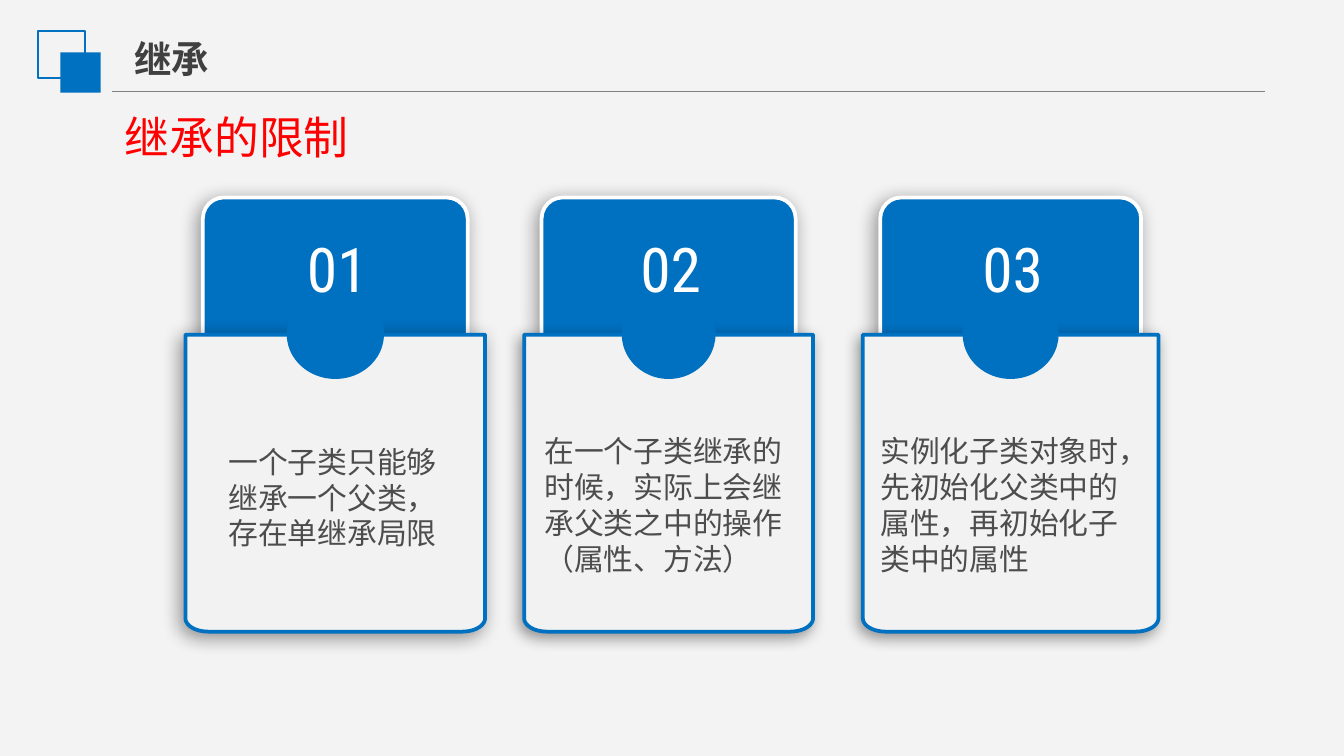
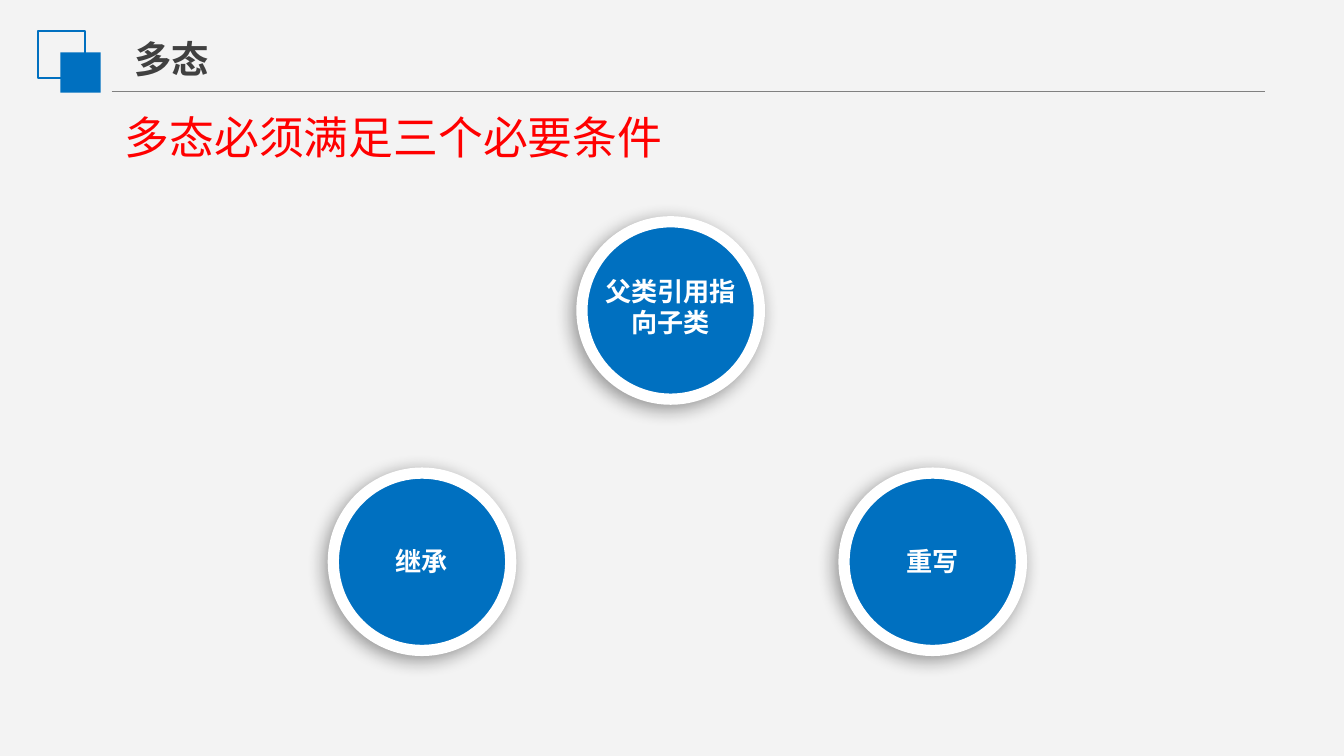
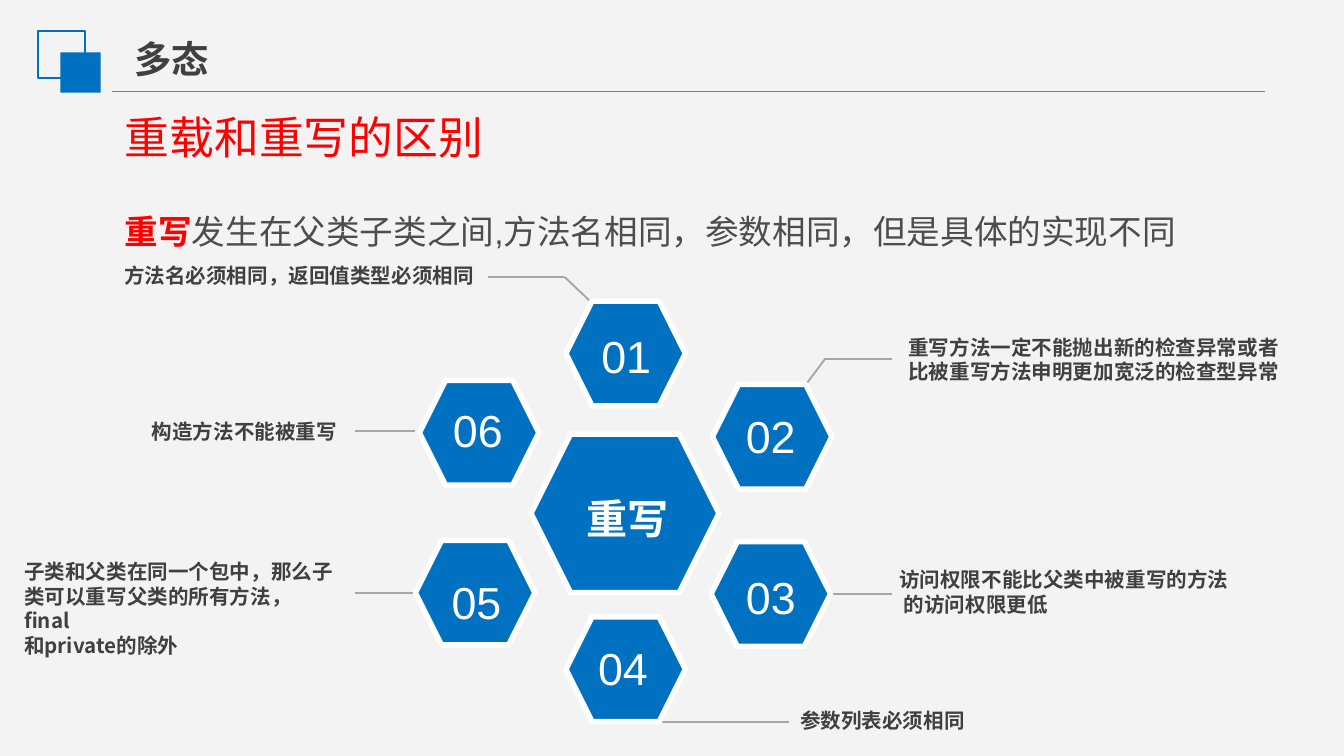
from dataclasses import dataclass
from itertools import pairwise
from math import cos, pi, sin

from lxml.etree import SubElement
from pptx import Presentation
from pptx.dml.color import RGBColor
from pptx.enum.shapes import MSO_CONNECTOR, MSO_SHAPE as Preset
from pptx.enum.text import MSO_AUTO_SIZE as AutoSize, PP_ALIGN as Align
from pptx.oxml.ns import qn
from pptx.util import Inches, Pt


# ---- Theme ----
@dataclass(frozen=True)
class Theme:
    paper: str = "F3F3F3"
    pocket: str = "F2F2F2"
    blue: str = "0070C0"
    white: str = "FFFFFF"
    red: str = "FF0000"
    dark: str = "404040"
    body: str = "4D4D4D"
    rule: str = "808080"
    leader: str = "A6A6A6"
    shadow: str = "000000"
    cjk: str = "Noto Sans CJK SC"
    heading_font: str = "Calibri"
    plain_font: str = "Arial"
    card_font: str = "Roboto Condensed"
    note_size: float = 11
    circle_size: float = 14
    body_size: float = 16
    statement_size: float = 18
    title_size: float = 20
    hub_size: float = 22
    heading_size: float = 24
    card_size: float = 33


THEME = Theme()
COLUMNS, ROWS = 100, 56.25      # a grid of square cells
CELL = Inches(0.1)


def cells(*counts):
    return [round(count * CELL) for count in counts]


def rgb(colour):
    return RGBColor.from_string(colour)


def write(frame, text, *, size, color, font=THEME.cjk, bold=False,
          align=Align.LEFT, spacing=None, lead=""):
    """Fill a frame, one paragraph per line; lead is a red bold opening."""
    for number, line in enumerate(text.split("\n")):
        paragraph = frame.add_paragraph() if number else frame.paragraphs[0]
        paragraph.alignment = align
        if spacing:
            paragraph.line_spacing = spacing
        runs = [(line, color, bold)]
        if lead and number == 0:
            runs.insert(0, (lead, THEME.red, True))
        for words, run_color, run_bold in runs:
            run = paragraph.add_run()
            run.text = words
            run.font.size, run.font.bold = Pt(size), run_bold
            run.font.name = font
            run.font.color.rgb = rgb(run_color)
            east_asian = SubElement(run.font._element, qn("a:ea"))
            east_asian.set("typeface", THEME.cjk)


class Deck:
    def __init__(self, theme):
        self.theme = theme
        self.file = Presentation()
        self.file.slide_width, self.file.slide_height = cells(COLUMNS, ROWS)
        backdrop = self.file.slide_master.background.fill
        backdrop.solid()
        backdrop.fore_color.rgb = rgb(theme.paper)
        self.shapes = None

    # ---- Shared frame of every slide ----
    def page(self, title, heading):
        t = self.theme
        self.shapes = self.file.slides.add_slide(
            self.file.slide_layouts[6]).shapes
        self.line((8.3, 6.8), (94.1, 6.8), color=t.rule, weight=0.75)
        self.shape(Preset.RECTANGLE, 2.8, 2.3, 3.5, 3.5, line=t.blue)
        self.shape(Preset.RECTANGLE, 4.5, 3.9, 3, 3, fill=t.blue)
        self.text(title, 9, 2.2, 7.6, 4.4, wrap=False,
                  size=t.title_size, color=t.dark, bold=True)
        self.text(heading, 8.3, 7.7, 42.5, 5, size=t.heading_size,
                  color=t.red, font=t.heading_font)

    # ---- Elements ----
    def text(self, text, left, top, width, height, *, wrap=True,
             inset=(1, 0.5), **style):
        frame = self.shapes.add_textbox(
            *cells(left, top, width, height)).text_frame
        frame.word_wrap = wrap
        frame.auto_size = AutoSize.SHAPE_TO_FIT_TEXT
        side, edge = cells(*inset)
        frame.margin_left = frame.margin_right = side
        frame.margin_top = frame.margin_bottom = edge
        write(frame, text, **style)

    def paint(self, shape, fill=None, line=None, weight=1, blur=0):
        if fill:
            shape.fill.solid()
            shape.fill.fore_color.rgb = rgb(fill)
        else:
            shape.fill.background()
        if line:
            shape.line.color.rgb = rgb(line)
            shape.line.width = Pt(weight)
        else:
            shape.line.fill.background()
        shape.shadow.inherit = False
        if blur:
            effects = shape._element.spPr.find(qn("a:effectLst"))
            cast = SubElement(effects, qn("a:outerShdw"), blurRad=str(Pt(blur)),
                              dist=str(Pt(3)), dir=str(135 * 60000),
                              algn="tr", rotWithShape="0")
            tint = SubElement(cast, qn("a:srgbClr"), val=self.theme.shadow)
            SubElement(tint, qn("a:alpha"), val="40000")
        return shape

    def shape(self, preset, left, top, width, height, **look):
        return self.paint(self.shapes.add_shape(
            preset, *cells(left, top, width, height)), **look)

    def line(self, *points, color, weight=1):
        for start, end in pairwise(points):
            connector = self.shapes.add_connector(
                MSO_CONNECTOR.STRAIGHT, *cells(*start, *end))
            connector.line.color.rgb = rgb(color)
            connector.line.width = Pt(weight)
            SubElement(connector._element.spPr, qn("a:effectLst"))

    def pocket(self, left, top, width, height, blur):
        """Square at the top, softly rounded at the bottom corners."""
        round_x, round_y, steps = 1.7, 1, 10
        right, bottom = left + width, top + height
        angles = [pi / 2 * step / steps for step in range(steps + 1)]
        corner = [(round_x * (1 - cos(a)), round_y * (1 - sin(a)))
                  for a in angles]
        outline = [(right, top)]
        outline += [(right - x, bottom - y) for x, y in corner]
        outline += [(left + x, bottom - y) for x, y in reversed(corner)]
        builder = self.shapes.build_freeform(*cells(left, top))
        builder.add_line_segments([cells(*point) for point in outline])
        self.paint(builder.convert_to_shape(), fill=self.theme.pocket,
                   line=self.theme.blue, weight=2, blur=blur)

    def card(self, number, left, width, blur, body, body_box):
        t = self.theme
        centre, knob = left + width / 2, width * 0.325
        tab = self.shape(Preset.ROUNDED_RECTANGLE, left + 1.3, 14.7,
                         width - 2.6, 16.7, fill=t.blue, line=t.white,
                         weight=2, blur=10)
        tab.adjustments[0] = 0.093
        self.pocket(left, 24.9, width, 22.1, blur)
        self.shape(Preset.OVAL, centre - knob / 2, 21.5, knob, 6.7,
                   fill=t.blue)
        self.text(number, centre - 5, 16.8, 10.3, 7.1, inset=(0.7, 0.4),
                  size=t.card_size, color=t.white, font=t.card_font,
                  align=Align.CENTER)
        self.text(body, *body_box, inset=(0.7, 0.4), size=t.body_size,
                  color=t.body)

    def circle(self, label, x, y):
        t, across = self.theme, 13.2
        extra_lines = label.count("\n")
        self.shape(Preset.OVAL, x - across / 2, y - across / 2, across, across,
                   fill=t.blue, line=t.white, weight=6, blur=10)
        self.text(label, x - 8.4, y - 1.7 - 1.4 * extra_lines, 16.8, 3.5,
                  size=t.circle_size, color=t.white, bold=True,
                  align=Align.CENTER)

    def hexagon(self, left, top, width, height, label, label_box, **style):
        t = self.theme
        self.shape(Preset.HEXAGON, left, top, width, height, fill=t.blue,
                   line=t.white, weight=3)
        self.text(label, *label_box, color=t.white, align=Align.CENTER,
                  **style)

    def note(self, text, *box, **options):
        t = self.theme
        self.text(text, *box, **{"inset": (0.7, 0.3), "wrap": False,
                                 "size": t.note_size, "color": t.dark,
                                 "bold": True, **options})


deck = Deck(THEME)

# ---- Slide 1: limits of inheritance ----
deck.page("继承", "继承的限制")
limits = [
    (22.3, 10, "一个子类只能够继承一个父类，存在单继承局限",
     (16.3, 32.6, 17.6, 16)),
    (21.5, 8, "在一个子类继承的时候，实际上会继承父类之中的操作（属性、方法）",
     (39.8, 31.8, 20.2, 11.5)),
    (22, 8, "实例化子类对象时，先初始化父类中的属性，再初始化子类中的属性",
     (64.8, 31.8, 20.6, 16)),
]
for index, (width, blur, limit, limit_box) in enumerate(limits):
    deck.card(f"{index + 1:02}", 13.8 + 25.2 * index, width, blur,
              limit, limit_box)

# ---- Slide 2: conditions of polymorphism ----
deck.page("多态", "多态必须满足三个必要条件")
for condition, x, y in [("继承", 31.4, 41.8),
                        ("父类引用指\n向子类", 49.9, 23.1),
                        ("重写", 69.4, 41.8)]:
    deck.circle(condition, x, y)

# ---- Slide 3: rules of overriding ----
deck.page("多态", "重载和重写的区别")
deck.text("发生在父类子类之间,方法名相同，参数相同，但是具体的实现不同",
          8.3, 13.7, 86.6, 5, lead="重写", size=THEME.statement_size,
          color=THEME.body, font=THEME.plain_font, spacing=1.5)

leaders = [
    [(44, 22.5), (42, 20.6), (36.3, 20.6)],
    [(59.9, 28.7), (61.4, 26.7), (66.4, 26.7)],
    [(61.8, 44.2), (66.4, 44.2)],
    [(49.1, 53.7), (58.7, 53.7)],
    [(30.9, 44.1), (26.4, 44.1)],
    [(30.9, 32.1), (26.4, 32.1)],
]
for leader in leaders:
    deck.line(*leader, color=THEME.leader)

# Each ring cell: left, top, label box, line spacing
ring = [
    (42.1, 22.4, (43.3, 23.2, 6.6, 5.4), 1.2),
    (53, 28.6, (54.3, 29.9, 6.1, 5), None),
    (52.9, 40.3, (53.9, 41.1, 6.9, 5.4), 1.2),
    (42.1, 45.9, (43.3, 47.2, 6.1, 5), None),
    (30.9, 40.2, (32.4, 41.5, 6.1, 5.4), 1.2),
    (31.2, 28.3, (32.5, 29.5, 6.1, 5), None),
]
for index, (left, top, number_box, spacing) in enumerate(ring, start=1):
    deck.hexagon(left, top, 8.9, 7.8, f"{index:02}", number_box,
                 size=THEME.heading_size, font=THEME.plain_font,
                 spacing=spacing)
deck.hexagon(39.5, 32.3, 14, 11.8, "重写", (42.4, 36.2, 8.6, 4.7),
             size=THEME.hub_size, bold=True)

deck.note("方法名必须相同，返回值类型必须相同", 8.4, 19.3, 27.6, 2.5,
          align=Align.RIGHT)
deck.note("重写方法一定不能抛出新的检查异常或者\n比被重写方法申明更加宽泛的检查型异常",
          66.6, 24.4, 29.8, 4.7, inset=(1, 0.5), wrap=True)
deck.note("访问权限不能比父类中被重写的方法\n 的访问权限更低",
          66.2, 41.9, 26.1, 4.4)
deck.note("参数列表必须相同", 58.8, 52.4, 13.7, 2.5, align=Align.RIGHT)
deck.note("子类和父类在同一个包中，那么子\n类可以重写父类的所有方法，final\n和private的除外",
          1.1, 41.3, 24.4, 6.2, wrap=True)
deck.note("构造方法不能被重写", 10.5, 30.9, 15.3, 2.5, align=Align.RIGHT)

deck.file.save("out.pptx")
